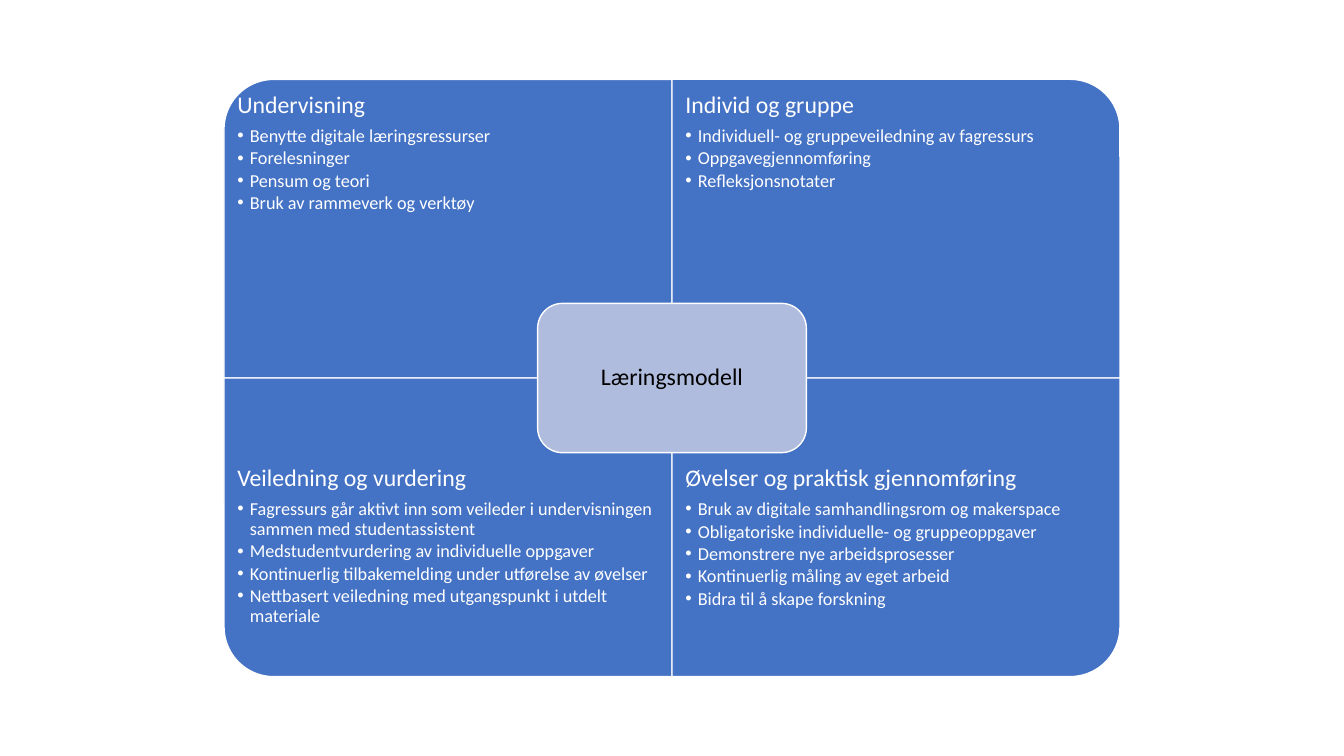
"""Build a slide with a four-quadrant learning model around a central label."""
from lxml import etree
from pptx import Presentation
from pptx.dml.color import RGBColor
from pptx.enum import shapes, text
from pptx.oxml import ns
from pptx.util import Pt

CENTRE_LABEL = "Læringsmodell"
QUADRANTS = [
    (0, 0, 270, "Undervisning", [
        "Benytte digitale læringsressurser",
        "Forelesninger",
        "Pensum og teori",
        "Bruk av rammeverk og verktøy",
    ]),
    (1, 0, 0, "Individ og gruppe", [
        "Individuell- og gruppeveiledning av fagressurs",
        "Oppgavegjennomføring",
        "Refleksjonsnotater",
    ]),
    (0, 1, 180, "Veiledning og vurdering", [
        "Fagressurs går aktivt inn som veileder i undervisningen sammen med studentassistent",
        "Medstudentvurdering av individuelle oppgaver",
        "Kontinuerlig tilbakemelding under utførelse av øvelser",
        "Nettbasert veiledning med utgangspunkt i utdelt materiale",
    ]),
    (1, 1, 90, "Øvelser og praktisk gjennomføring", [
        "Bruk av digitale samhandlingsrom og makerspace",
        "Obligatoriske individuelle- og gruppeoppgaver",
        "Demonstrere nye arbeidsprosesser",
        "Kontinuerlig måling av eget arbeid",
        "Bidra til å skape forskning",
    ]),
]

BLUE = RGBColor(0x44, 0x72, 0xC4)
PALE_BLUE = RGBColor(0xB0, 0xBC, 0xDE)
WHITE = RGBColor(0xFF, 0xFF, 0xFF)
BLACK = RGBColor(0, 0, 0)
FONT = "Calibri"
HEADING_SIZE, BULLET_SIZE = 17, 13

SLIDE_W, SLIDE_H = 960, 540
CELL_W, CELL_H = 320, 213.33
LEFT, TOP = SLIDE_W / 2 - CELL_W, SLIDE_H / 2 - CELL_H
TEXT_H = CELL_H * 0.75
CENTRE_W, CENTRE_H = CELL_W * 0.6, CELL_H / 2
INSET, CENTRE_INSET, BULLET_INDENT = 9.5, 5, 9


def add_panel(page, kind, left, top, width, height, fill):
    panel = page.shapes.add_shape(kind, Pt(left), Pt(top), Pt(width), Pt(height))
    panel.shadow.inherit = False
    panel.fill.solid()
    panel.fill.fore_color.rgb = fill
    panel.line.color.rgb = WHITE
    panel.line.width = Pt(1)
    return panel


def set_frame(frame, inset, anchor):
    frame.word_wrap = True
    frame.vertical_anchor = anchor
    frame.margin_left = frame.margin_right = Pt(inset)
    frame.margin_top = frame.margin_bottom = Pt(inset)


def format_para(para, size, color, gap):
    para.line_spacing = 0.9
    para.space_after = Pt(size * gap)
    for span in para.runs:
        span.font.name = FONT
        span.font.size = Pt(size)
        span.font.color.rgb = color


def add_bullet(para):
    para.level = 1
    props = para._p.get_or_add_pPr()
    props.set("marL", str(Pt(BULLET_INDENT)))
    props.set("indent", str(-Pt(BULLET_INDENT)))
    etree.SubElement(props, ns.qn("a:buFont")).set("typeface", "Arial")
    etree.SubElement(props, ns.qn("a:buChar")).set("char", "•")


def add_quadrant(page, column, row, rotation, heading, bullets):
    left, top = LEFT + column * CELL_W, TOP + row * CELL_H
    width, height = (CELL_H, CELL_W) if rotation % 180 else (CELL_W, CELL_H)
    panel = add_panel(page, shapes.MSO_SHAPE.ROUND_1_RECTANGLE,
                      left + (CELL_W - width) / 2, top + (CELL_H - height) / 2,
                      width, height, BLUE)
    panel.rotation = rotation

    text_top = top + row * (CELL_H - TEXT_H)
    box = page.shapes.add_textbox(Pt(left), Pt(text_top), Pt(CELL_W), Pt(TEXT_H))
    frame = box.text_frame
    set_frame(frame, INSET, text.MSO_ANCHOR.TOP)
    frame.text = heading
    format_para(frame.paragraphs[0], HEADING_SIZE, WHITE, 0.35)
    for bullet in bullets:
        para = frame.add_paragraph()
        para.text = bullet
        format_para(para, BULLET_SIZE, WHITE, 0.15)
        add_bullet(para)


def add_centre(page):
    panel = add_panel(page, shapes.MSO_SHAPE.ROUNDED_RECTANGLE,
                      (SLIDE_W - CENTRE_W) / 2, (SLIDE_H - CENTRE_H) / 2,
                      CENTRE_W, CENTRE_H, PALE_BLUE)
    frame = panel.text_frame
    set_frame(frame, CENTRE_INSET, text.MSO_ANCHOR.MIDDLE)
    frame.text = CENTRE_LABEL
    para = frame.paragraphs[0]
    para.alignment = text.PP_ALIGN.CENTER
    format_para(para, HEADING_SIZE, BLACK, 0)


def main():
    deck = Presentation()
    deck.slide_width, deck.slide_height = Pt(SLIDE_W), Pt(SLIDE_H)
    page = deck.slides.add_slide(deck.slide_layouts[6])
    for quadrant in QUADRANTS:
        add_quadrant(page, *quadrant)
    add_centre(page)
    deck.save("out.pptx")


if __name__ == "__main__":
    main()
